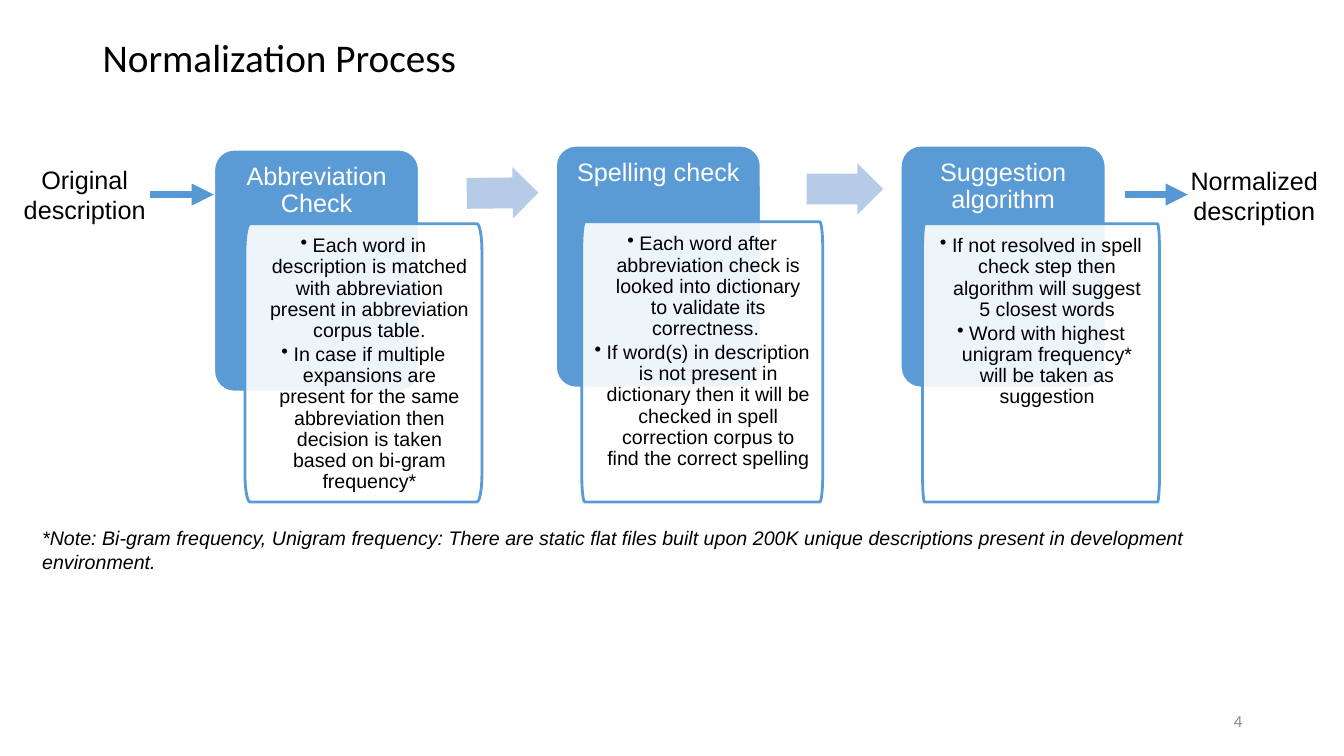
from math import cos, pi, sin

from lxml import etree
from pptx import Presentation
from pptx.dml.color import RGBColor
from pptx.enum.shapes import MSO_CONNECTOR, MSO_SHAPE
from pptx.enum.text import MSO_ANCHOR, PP_ALIGN
from pptx.oxml.ns import qn
from pptx.util import Inches, Pt

BLUE, PALE, WHITE, BLACK = "5B9BD5", "B5CBE7", "FFFFFF", "000000"

STEPS = [
    dict(title="Abbreviation Check", card=(2.12, 1.48), detail=(2.43, 2.22, 2.35, 2.76), corner=0.05,
         points=["Each word in description is matched with abbreviation present in abbreviation corpus table.",
                 "In case if multiple expansions are present for the same abbreviation then decision is taken "
                 "based on bi-gram frequency*"]),
    dict(title="Spelling check", card=(5.51, 1.44), detail=(5.77, 2.2, 2.39, 2.78), corner=0.03,
         points=["Each word after abbreviation check is looked into dictionary to validate its correctness. ",
                 "If word(s) in description is not present in dictionary then it will be checked in spell "
                 "correction corpus to find the correct spelling"]),
    dict(title="Suggestion algorithm", card=(8.93, 1.44), detail=(9.15, 2.22, 2.35, 2.76), corner=0.02,
         points=["If not resolved in spell check step then algorithm will suggest 5 closest words",
                 "Word with highest unigram frequency* will be taken as suggestion"]),
]
CARD_SIZE = (2.04, 2.41)
BLOCK_ARROWS = [((4.63, 1.66, 0.71, 0.51), -0.6), ((8, 1.62, 0.76, 0.51), 0)]
ENDS = [("Original description", (0, 1.58, 1.68, 0.71), (1.49, 2.12)),
        ("Normalized description", (11.6, 1.59, 1.68, 0.71), (11.16, 11.78))]
FLOW_Y = 1.93
NOTE = ("*Note: Bi-gram frequency, Unigram frequency: There are static flat files built upon 200K unique "
        "descriptions present in development environment.")

prs = Presentation()
prs.slide_width, prs.slide_height = Inches(13.33), Inches(7.5)
slide = prs.slides.add_slide(prs.slide_layouts[6])
shapes = slide.shapes


def rgb(color):
    return RGBColor.from_string(color)


def inches(values):
    return [Inches(v) for v in values]


def paint(shape, fill, line=None):
    shape.shadow.inherit = False
    shape.fill.solid()
    shape.fill.fore_color.rgb = rgb(fill)
    if line:
        shape.line.color.rgb = rgb(line)
        shape.line.width = Pt(2)
    else:
        shape.line.fill.background()


def write(shape, paragraphs, size, color=BLACK, font="Arial", align=PP_ALIGN.CENTER, anchor=MSO_ANCHOR.TOP,
          inset=(0.1, 0.05, 0.1, 0.05), spacing=None, after=None, italic=False, bullets=False):
    frame = shape.text_frame
    frame.word_wrap = True
    frame.vertical_anchor = anchor
    frame.margin_left, frame.margin_top, frame.margin_right, frame.margin_bottom = inches(inset)
    for i, text in enumerate(paragraphs):
        p = frame.add_paragraph() if i else frame.paragraphs[0]
        p.alignment, p.line_spacing = align, spacing
        if after:
            p.space_after = Pt(after)
        run = p.add_run()
        run.text = text
        run.font.name, run.font.size, run.font.italic = font, Pt(size), italic
        run.font.color.rgb = rgb(color)
        if bullets:
            p.level = 1
            props = p._p.get_or_add_pPr()
            props.set("marL", str(Inches(0.12)))
            props.set("indent", str(Inches(-0.12)))
            etree.SubElement(props, qn("a:buChar")).set("char", "•")


def text_box(at, text, size, **style):
    write(shapes.add_textbox(*inches(at)), [text], size, **style)


def detail_box(left, top, width, height, rx, ry=0.27, steps=8):
    centres = [(left + width - rx, top + height - ry), (left + rx, top + height - ry),
               (left + rx, top + ry), (left + width - rx, top + ry)]
    outline = []
    for quarter, (cx, cy) in enumerate(centres):
        for k in range(steps + 1):
            angle = (quarter + k / steps) * pi / 2
            outline.append((Inches(cx + rx * cos(angle)), Inches(cy + ry * sin(angle))))
    builder = shapes.build_freeform(*outline[0])
    builder.add_line_segments(outline[1:], close=True)
    return builder.convert_to_shape()


def flow_arrow(start, end):
    arrow = shapes.add_connector(MSO_CONNECTOR.STRAIGHT, *inches((start, FLOW_Y, end, FLOW_Y)))
    arrow.line.color.rgb = rgb("5698D3")
    arrow.line.width = Pt(5.25)
    etree.SubElement(arrow.line._get_or_add_ln(), qn("a:tailEnd")).set("type", "triangle")
    etree.SubElement(arrow._element.spPr, qn("a:effectLst"))


text_box((0.92, 0.32, 11.5, 0.54), "Normalization Process", 28, font="Calibri", align=PP_ALIGN.LEFT,
         anchor=MSO_ANCHOR.MIDDLE, inset=(0.1,) * 4, spacing=0.9)
text_box((9.42, 6.95, 3, 0.4), "4", 12, color="888888", font="Calibri", align=PP_ALIGN.RIGHT,
         anchor=MSO_ANCHOR.MIDDLE)

for step in STEPS:
    card = shapes.add_shape(MSO_SHAPE.ROUNDED_RECTANGLE, *inches(step["card"] + CARD_SIZE))
    card.adjustments[0] = 0.1
    paint(card, BLUE, WHITE)
    write(card, [step["title"]], 18, color=WHITE, inset=(0.08, 0.08, 0.08, 0.82), spacing=0.9)

    detail = detail_box(*step["detail"], step["corner"])
    paint(detail, WHITE, BLUE)
    white = detail._element.spPr.find(qn("a:solidFill"))[0]
    etree.SubElement(white, qn("a:alpha")).set("val", "90000")
    write(detail, step["points"], 14, inset=(0.12,) * 4, spacing=0.9, after=2, bullets=True)

for at, turn in BLOCK_ARROWS:
    arrow = shapes.add_shape(MSO_SHAPE.RIGHT_ARROW, *inches(at))
    arrow.adjustments[0], arrow.adjustments[1] = 0.6, 0.5
    arrow.rotation = turn
    paint(arrow, PALE)

for label, at, span in ENDS:
    text_box(at, label, 18)
    flow_arrow(*span)

text_box((0.32, 5.17, 12.3, 0.58), NOTE, 14, align=PP_ALIGN.LEFT, italic=True)

prs.save("out.pptx")
